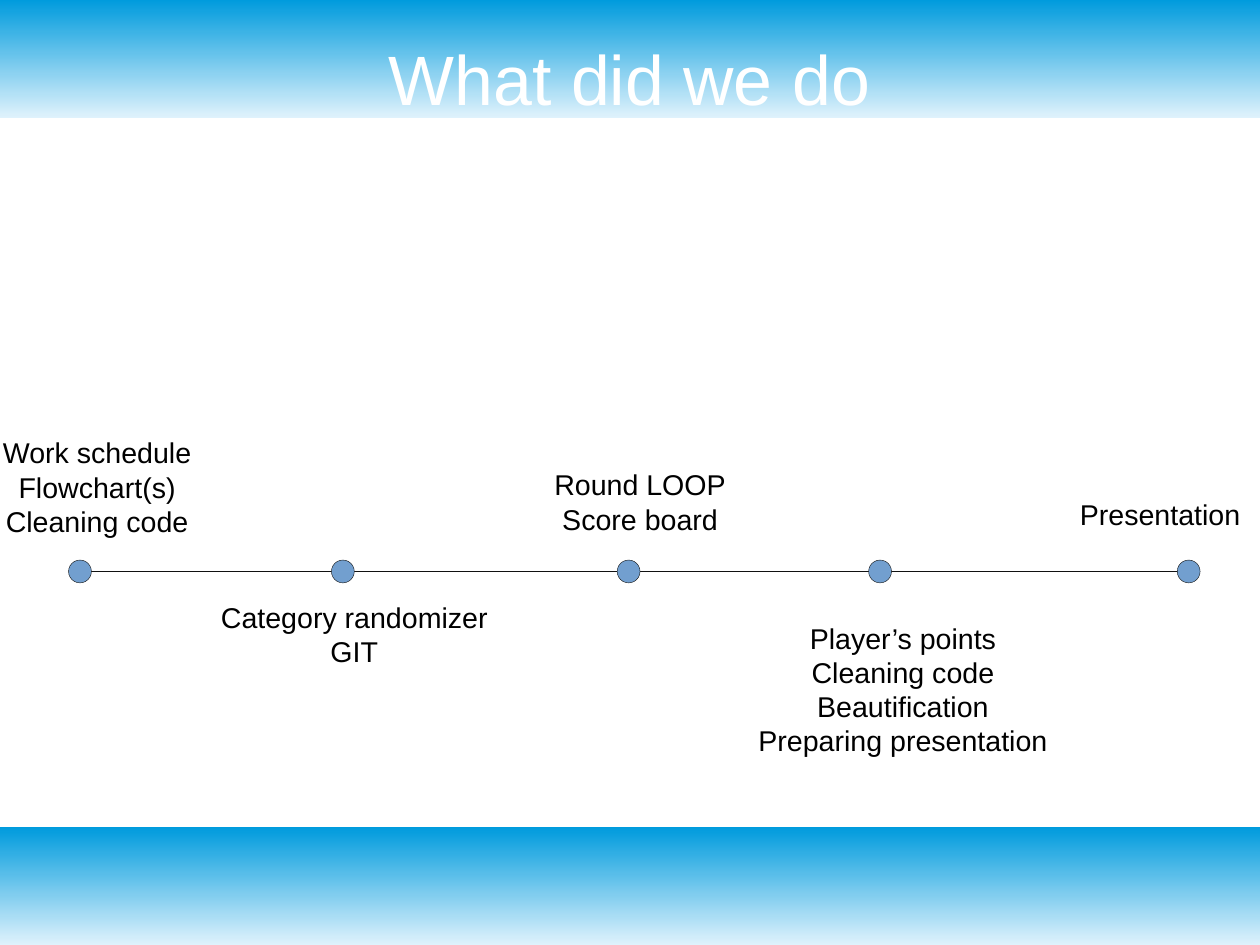
from pptx import Presentation
from pptx.dml.color import RGBColor
from pptx.enum.shapes import MSO_CONNECTOR, MSO_SHAPE
from pptx.enum.text import MSO_ANCHOR, PP_ALIGN
from pptx.oxml.ns import qn
from pptx.util import Inches, Pt
from lxml.etree import SubElement

WHITE = RGBColor(0xFF, 0xFF, 0xFF)
BLACK = RGBColor(0x00, 0x00, 0x00)
OUTLINE = RGBColor(0x11, 0x11, 0x11)
DOT_BLUE = RGBColor(0x72, 0x9F, 0xCF)
BAND_LIGHT = RGBColor(0xDF, 0xF2, 0xFC)
BAND_BLUE = RGBColor(0x00, 0x9B, 0xDD)

# The page measures 28 by 21 centimetres
PAGE_WIDTH, PAGE_HEIGHT = 28 / 2.54, 21 / 2.54
BAND_HEIGHT = 1.03
AXIS_Y = 5
DOT_SIZE = 0.2
HAIRLINE = Pt(0.25)
DOT_CENTERS = [0.7, 3, 5.5, 7.7, 10.4]

# left, top, width, height, lines
LABELS = [
    (-0.2, 3.76, 2.1, 0.94, ["Work schedule", "Flowchart(s)", "Cleaning code"]),
    (1.6, 5.2, 3, 0.66, ["Category randomizer", "GIT"]),
    (4.1, 4.04, 3, 0.66, ["Round LOOP", "Score board"]),
    (6.4, 5.38, 3, 1.22, ["Player’s points", "Cleaning code",
                          "Beautification", "Preparing presentation"]),
    (9.1, 4.3, 2.1, 0.5, ["Presentation"]),
]


class TimelineSlide:
    def __init__(self, page, font_name="Arial"):
        self.shapes = page.shapes
        self.font_name = font_name

    def band(self, top):
        band = self.shapes.add_shape(
            MSO_SHAPE.RECTANGLE, Inches(0), Inches(top),
            Inches(PAGE_WIDTH), Inches(BAND_HEIGHT))
        band.shadow.inherit = False
        band.line.fill.background()
        band.fill.gradient()
        band.fill.gradient_angle = 90
        for stop, color in zip(band.fill.gradient_stops, (BAND_LIGHT, BAND_BLUE)):
            stop.color.rgb = color

    def text(self, left, top, width, height, lines, size=18, color=BLACK):
        box = self.shapes.add_textbox(
            Inches(left), Inches(top), Inches(width), Inches(height))
        frame = box.text_frame
        frame.word_wrap = True
        frame.text = "\n".join(lines)
        for para in frame.paragraphs:
            para.alignment = PP_ALIGN.CENTER
            for span in para.runs:
                span.font.name = self.font_name
                span.font.size = Pt(size)
                span.font.color.rgb = color
        return frame

    def title(self, wording):
        frame = self.text(0.55, 0.33, 9.92, 0.7, [wording], 44, WHITE)
        frame.vertical_anchor = MSO_ANCHOR.MIDDLE
        frame.margin_left = frame.margin_right = Inches(0)
        frame.margin_top = frame.margin_bottom = Inches(0)

    def outline(self, shape):
        shape.line.color.rgb = OUTLINE
        shape.line.width = HAIRLINE

    def axis(self, start, end):
        axis = self.shapes.add_connector(
            MSO_CONNECTOR.STRAIGHT, Inches(start), Inches(AXIS_Y),
            Inches(end), Inches(AXIS_Y))
        self.outline(axis)
        SubElement(axis._element.spPr, qn("a:effectLst"))

    def dot(self, center):
        dot = self.shapes.add_shape(
            MSO_SHAPE.OVAL, Inches(center - DOT_SIZE / 2),
            Inches(AXIS_Y - DOT_SIZE / 2), Inches(DOT_SIZE), Inches(DOT_SIZE))
        dot.shadow.inherit = False
        dot.fill.solid()
        dot.fill.fore_color.rgb = DOT_BLUE
        self.outline(dot)


def main():
    deck = Presentation()
    deck.slide_width = Inches(PAGE_WIDTH)
    deck.slide_height = Inches(PAGE_HEIGHT)
    timeline = TimelineSlide(deck.slides.add_slide(deck.slide_layouts[6]))

    for top in (0, PAGE_HEIGHT - BAND_HEIGHT):
        timeline.band(top)
    timeline.title("What did we do")
    timeline.axis(DOT_CENTERS[0], DOT_CENTERS[-1])
    for center in DOT_CENTERS:
        timeline.dot(center)
    for label in LABELS:
        timeline.text(*label)

    deck.save("out.pptx")


if __name__ == "__main__":
    main()
